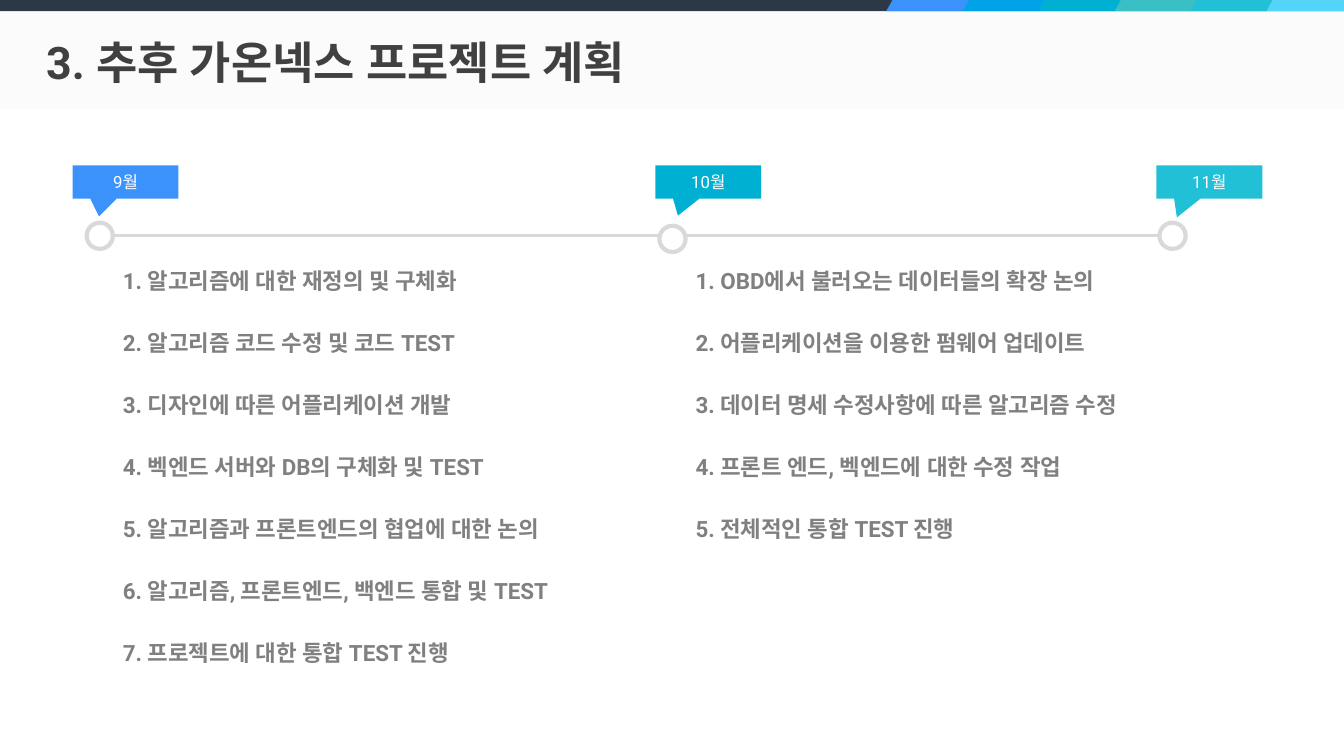
"""Build the project plan timeline slide."""
from dataclasses import dataclass

from lxml.etree import SubElement
from pptx import Presentation
from pptx.dml.color import RGBColor
from pptx.enum.shapes import MSO_CONNECTOR, MSO_SHAPE as Shape
from pptx.enum.text import MSO_ANCHOR as Anchor, MSO_AUTO_SIZE as AutoSize, PP_ALIGN as Align
from pptx.oxml.ns import qn
from pptx.shapes.autoshape import Shape as AutoShape
from pptx.shapes.shapetree import SlideShapes
from pptx.text.text import TextFrame
from pptx.util import Inches, Pt


@dataclass(frozen=True)
class Theme:
    font: str = "Roboto"
    title_size: int = 32
    item_size: int = 16
    month_size: int = 12
    title: str = "404040"
    item: str = "808080"
    white: str = "FFFFFF"
    band: str = "FBFBFB"
    navy: str = "2D3847"
    track: str = "D9D9D9"
    stripes: tuple[str, ...] = ("3B92FB", "00A4E6", "00B0D3", "3ABFC4", "21C0D7")
    corner: str = "55D4FA"


@dataclass(frozen=True)
class Item:
    text: str
    width: float


@dataclass(frozen=True)
class Month:
    label: str
    color: str
    flag_left: float
    pointer: tuple[float, float]
    node_left: float
    node_top: float
    items: tuple[Item, ...] = ()


THEME = Theme()
SLIDE_WIDTH, SLIDE_HEIGHT = 13.33, 7.5
BAR_HEIGHT = 0.11
STRIPE_LEFT, STRIPE_STEP, STRIPE_WIDTH = 8.79, 0.7525, 0.82
NODE_SIZE, TRACK_Y = 0.26, 2.34
ITEM_TOP, ITEM_STEP, ITEM_HEIGHT = 2.6, 0.615, 0.37

MONTHS = (
    Month("9월", "3B92FB", 0.72, (-0.251, 1.038), 0.86, 2.21, (
        Item("1. 알고리즘에 대한 재정의 및 구체화", 3.79),
        Item("2. 알고리즘 코드 수정 및 코드 TEST", 3.79),
        Item("3. 디자인에 따른 어플리케이션 개발", 3.79),
        Item("4. 벡엔드 서버와 DB의 구체화 및 TEST", 3.96),
        Item("5. 알고리즘과 프론트엔드의 협업에 대한 논의", 4.65),
        Item("6. 알고리즘, 프론트엔드, 백엔드 통합 및 TEST", 4.65),
        Item("7. 프로젝트에 대한 통합 TEST 진행", 3.79),
    )),
    Month("10월", "00B0D3", 6.5, (-0.287, 1.013), 6.54, 2.24, (
        Item("1. OBD에서 불러오는 데이터들의 확장 논의", 4.42),
        Item("2. 어플리케이션을 이용한 펌웨어 업데이트", 4.51),
        Item("3. 데이터 명세 수정사항에 따른 알고리즘 수정", 4.71),
        Item("4. 프론트 엔드, 벡엔드에 대한 수정 작업", 4.42),
        Item("5. 전체적인 통합 TEST 진행", 3.79),
    )),
    Month("11월", "21C0D7", 11.47, (-0.307, 1.067), 11.5, 2.21),
)


def paint(shape: AutoShape, fill: str) -> None:
    """Give a shape a flat fill without line or shadow."""
    shape.shadow.inherit = False
    shape.fill.solid()
    shape.fill.fore_color.rgb = RGBColor.from_string(fill)
    shape.line.fill.background()


def add_block(shapes: SlideShapes, kind: Shape, left: float, top: float,
              width: float, height: float, fill: str) -> AutoShape:
    """Add a flat preset shape."""
    block = shapes.add_shape(kind, Inches(left), Inches(top), Inches(width), Inches(height))
    paint(block, fill)
    return block


def write(frame: TextFrame, text: str, size: int, color: str, bold: bool = False) -> None:
    """Write one styled paragraph into a text frame."""
    frame.word_wrap = True
    paragraph = frame.paragraphs[0]
    paragraph.text = text
    font = paragraph.font
    font.size = Pt(size)
    font.bold = bold
    font.color.rgb = RGBColor.from_string(color)
    font.name = THEME.font
    defaults = paragraph._p.pPr.find(qn("a:defRPr"))
    SubElement(defaults, qn("a:ea")).set("typeface", THEME.font)


def add_text(shapes: SlideShapes, left: float, top: float, width: float, height: float,
             text: str, size: int, color: str) -> TextFrame:
    """Add a bold text box and return its frame."""
    box = shapes.add_textbox(Inches(left), Inches(top), Inches(width), Inches(height))
    write(box.text_frame, text, size, color, bold=True)
    return box.text_frame


def draw_header(shapes: SlideShapes) -> None:
    """Draw the title band, the striped top bar and the title."""
    add_block(shapes, Shape.RECTANGLE, 0, BAR_HEIGHT, SLIDE_WIDTH, 0.97, THEME.band)
    add_block(shapes, Shape.RECTANGLE, 0, 0, SLIDE_WIDTH, BAR_HEIGHT, THEME.navy)
    for index, color in reversed(list(enumerate(THEME.stripes))):
        stripe = add_block(shapes, Shape.PARALLELOGRAM, STRIPE_LEFT + index * STRIPE_STEP, 0,
                           STRIPE_WIDTH, BAR_HEIGHT, color)
        stripe.adjustments[0] = 0.56
    corner = shapes.build_freeform(Inches(12.62), 0)
    corner.add_line_segments([
        (Inches(SLIDE_WIDTH), 0),
        (Inches(SLIDE_WIDTH), Inches(BAR_HEIGHT)),
        (Inches(12.56), Inches(BAR_HEIGHT)),
    ])
    paint(corner.convert_to_shape(), THEME.corner)
    title = add_text(shapes, 0.36, 0.37, 7.42, 0.55, "3. 추후 가온넥스 프로젝트 계획",
                     THEME.title_size, THEME.title)
    title.vertical_anchor = Anchor.MIDDLE
    title.paragraphs[0].line_spacing = 0.9


def draw_track(shapes: SlideShapes) -> None:
    """Draw the line that joins the first and last month."""
    track = shapes.add_connector(
        MSO_CONNECTOR.STRAIGHT, Inches(MONTHS[0].node_left + NODE_SIZE), Inches(TRACK_Y),
        Inches(MONTHS[-1].node_left), Inches(TRACK_Y))
    track.line.color.rgb = RGBColor.from_string(THEME.track)
    track.line.width = Pt(2.25)
    SubElement(track._element.spPr, qn("a:effectLst"))


def draw_month(shapes: SlideShapes, month: Month) -> None:
    """Draw a month's node, flag and list of items."""
    node = add_block(shapes, Shape.OVAL, month.node_left, month.node_top,
                     NODE_SIZE, NODE_SIZE, THEME.white)
    node.line.color.rgb = RGBColor.from_string(THEME.track)
    node.line.width = Pt(3)
    flag = add_block(shapes, Shape.RECTANGULAR_CALLOUT, month.flag_left, 1.64, 1.05, 0.33,
                     month.color)
    flag.adjustments[0], flag.adjustments[1] = month.pointer
    write(flag.text_frame, month.label, THEME.month_size, THEME.white)
    flag.text_frame.vertical_anchor = Anchor.MIDDLE
    flag.text_frame.paragraphs[0].alignment = Align.CENTER
    for row, item in enumerate(month.items):
        frame = add_text(shapes, month.node_left + NODE_SIZE, ITEM_TOP + row * ITEM_STEP,
                         item.width, ITEM_HEIGHT, item.text, THEME.item_size, THEME.item)
        frame.auto_size = AutoSize.SHAPE_TO_FIT_TEXT


def main() -> None:
    """Build and save the slide."""
    deck = Presentation()
    deck.slide_width, deck.slide_height = Inches(SLIDE_WIDTH), Inches(SLIDE_HEIGHT)
    shapes = deck.slides.add_slide(deck.slide_layouts[6]).shapes
    draw_header(shapes)
    draw_track(shapes)
    for month in MONTHS:
        draw_month(shapes, month)
    deck.save("out.pptx")


if __name__ == "__main__":
    main()
